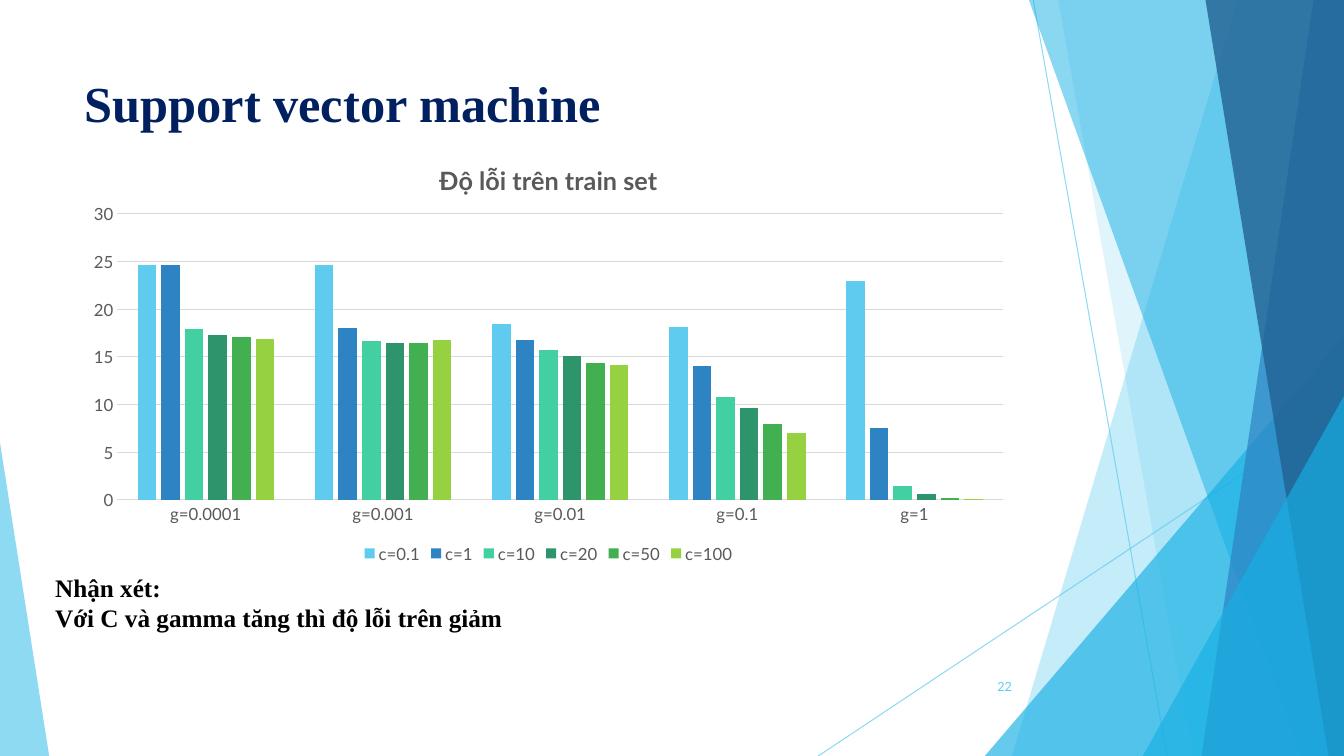
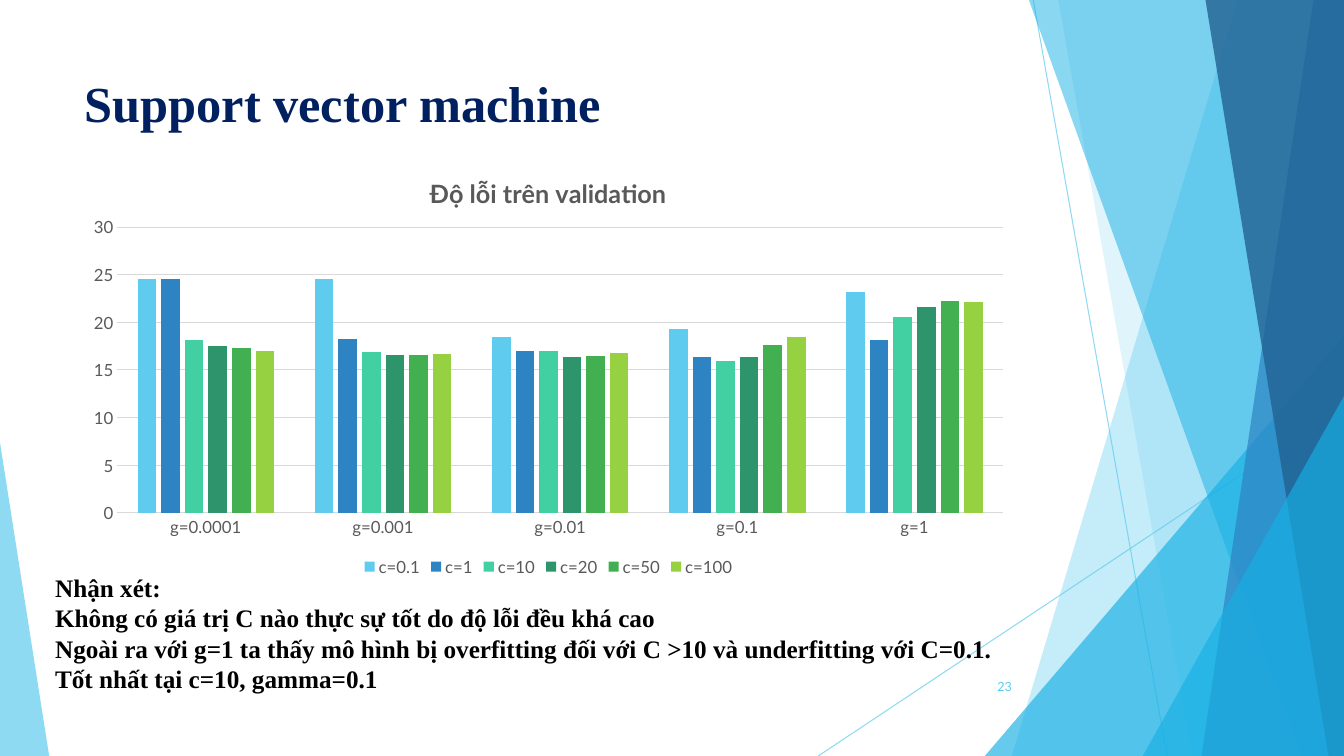
from pptx import Presentation
from pptx.chart.data import CategoryChartData
from pptx.dml.color import RGBColor
from pptx.enum import chart as ch, shapes as sh, text as tx
from pptx.oxml import ns, xmlchemy as xc
from pptx.util import Cm, Pt

WIDTH, HEIGHT = 33.87, 19.05
SKY = RGBColor(0x5F, 0xCB, 0xEF)
CYAN = RGBColor(0x17, 0xB0, 0xE4)
BLUE = RGBColor(0x2E, 0x83, 0xC3)
DEEP = RGBColor(0x22, 0x62, 0x92)
MINT = RGBColor(0x42, 0xD0, 0xA2)
PINE = RGBColor(0x2E, 0x94, 0x6B)
GREEN = RGBColor(0x42, 0xB0, 0x51)
LIME = RGBColor(0x96, 0xD1, 0x41)
NAVY = RGBColor(0x00, 0x20, 0x60)
BLACK = RGBColor(0x00, 0x00, 0x00)
GREY = RGBColor(0x59, 0x59, 0x59)
RULE = RGBColor(0xD9, 0xD9, 0xD9)
SERIF, SANS = "Times New Roman", "Lato"

GAMMAS = ["g=0.0001", "g=0.001", "g=0.01", "g=0.1", "g=1"]
COSTS = {"c=0.1": SKY, "c=1": BLUE, "c=10": MINT,
         "c=20": PINE, "c=50": GREEN, "c=100": LIME}
TRAIN = [
    (24.6, 24.6, 18.5, 18.1, 23),
    (24.6, 18, 16.8, 14, 7.5),
    (17.9, 16.7, 15.7, 10.8, 1.4),
    (17.3, 16.5, 15.1, 9.6, 0.6),
    (17.1, 16.5, 14.4, 8, 0.2),
    (16.9, 16.8, 14.1, 7, 0.1),
]
VALID = [
    (24.6, 24.6, 18.5, 19.3, 23.2),
    (24.6, 18.3, 17, 16.4, 18.1),
    (18.1, 16.9, 17, 15.9, 20.6),
    (17.5, 16.6, 16.4, 16.4, 21.6),
    (17.3, 16.6, 16.5, 17.6, 22.2),
    (17, 16.7, 16.8, 18.5, 22.1),
]


def fade(shape, alpha):
    """Set the opacity, in percent, of every colour of a shape."""
    for tint in shape._element.spPr.iter(ns.qn("a:srgbClr")):
        xc.OxmlElement("a:alpha")
        node = xc.OxmlElement("a:alpha")
        node.set("val", str(alpha * 1000))
        tint.append(node)


def paint(shape, color, alpha):
    """Give a shape a see-through fill with no line or shadow."""
    shape.shadow.inherit = False
    shape.fill.solid()
    shape.fill.fore_color.rgb = color
    shape.line.fill.background()
    fade(shape, alpha)


def add_line(slide, x1, y1, x2, y2):
    """Draw a thin sky-blue line."""
    line = slide.shapes.add_connector(
        sh.MSO_CONNECTOR.STRAIGHT, Cm(x1), Cm(y1), Cm(x2), Cm(y2))
    line.line.color.rgb = SKY
    line.line.width = Pt(0.75)
    line._element.spPr.append(xc.OxmlElement("a:effectLst"))
    fade(line, 70)


def add_band(slide, top, bottom, color, alpha):
    """Draw a full-height band from a slanted left side to the right edge."""
    form = slide.shapes.build_freeform(Cm(top), 0)
    form.add_line_segments([(Cm(WIDTH), 0), (Cm(WIDTH), Cm(HEIGHT)),
                            (Cm(bottom), Cm(HEIGHT))], close=True)
    paint(form.convert_to_shape(), color, alpha)


def add_wedge(slide, left, top, width, tip, color, alpha):
    """Draw a triangle that stands on the bottom edge."""
    wedge = slide.shapes.add_shape(
        sh.MSO_SHAPE.ISOSCELES_TRIANGLE,
        Cm(left), Cm(top), Cm(width), Cm(HEIGHT - top))
    wedge.adjustments[0] = tip
    paint(wedge, color, alpha)


def add_decor(slide):
    """Draw the facets shared by all slides."""
    add_line(slide, 26.04, 0, 29.41, HEIGHT)
    add_line(slide, WIDTH, 10.24, 20.62, HEIGHT)
    add_band(slide, 31.19, 25.5, SKY, 36)
    add_band(slide, 26.67, 30.05, SKY, 20)
    add_wedge(slide, 24.82, 8.46, 9.05, 1, CYAN, 66)
    add_band(slide, 25.93, 32.79, CYAN, 50)
    add_band(slide, 33.1, 30.28, BLUE, 70)
    add_band(slide, 30.38, 33.48, DEEP, 80)
    add_wedge(slide, 28.8, 9.98, 5.07, 1, CYAN, 66)
    add_wedge(slide, 0, 11.15, 1.24, 0, SKY, 70)


def style(font, size, color, name=SANS, bold=False):
    """Set the face, size and colour of a font."""
    font.name, font.size, font.bold = name, Pt(size), bold
    font.color.rgb = color


def add_text(slide, box, lines, size, color, name=SERIF, bold=True):
    """Add a text box with one paragraph a line and return its frame."""
    frame = slide.shapes.add_textbox(*map(Cm, box)).text_frame
    frame.word_wrap = True
    frame.text = "\n".join(lines)
    for para in frame.paragraphs:
        style(para.font, size, color, name, bold)
    return frame


def place(node, index, **spots):
    """Fix the place of a chart part as fractions of the chart."""
    old = node.find(ns.qn("c:layout"))
    if old is not None:
        node.remove(old)
    layout = xc.OxmlElement("c:layout")
    manual = xc.OxmlElement("c:manualLayout")
    layout.append(manual)
    rows = [("xMode", "edge"), ("yMode", "edge"), *spots.items()]
    if "w" in spots:
        rows.insert(0, ("layoutTarget", "inner"))
    for tag, val in rows:
        item = xc.OxmlElement("c:" + tag)
        item.set("val", str(val))
        manual.append(item)
    node.insert(index, layout)


def add_bars(slide, top, title, left, rows):
    """Add the clustered column chart of error rates."""
    data = CategoryChartData()
    data.categories = GAMMAS
    for name, vals in zip(COSTS, rows):
        data.add_series(name, vals)
    chart = slide.shapes.add_chart(
        ch.XL_CHART_TYPE.COLUMN_CLUSTERED,
        Cm(1.88), Cm(top), Cm(23.88), Cm(10.77), data).chart
    style(chart.font, 12, GREY)

    head = chart.chart_title.text_frame
    head.text = title
    style(head.paragraphs[0].font, 18, GREY, bold=True)
    chart.chart_title.include_in_layout = False
    place(chart.chart_title._element, 1, x=left, y=0.04)
    place(chart._chartSpace.chart.plotArea, 0, x=0.045, y=0.173, w=0.935, h=0.669)

    chart.has_legend = True
    chart.legend.position = ch.XL_LEGEND_POSITION.BOTTOM
    chart.legend.include_in_layout = False
    style(chart.legend.font, 12, GREY)

    plot = chart.plots[0]
    plot.vary_by_categories = False
    plot.gap_width, plot.overlap = 219, -27
    for bars, color in zip(plot.series, COSTS.values()):
        bars.format.fill.solid()
        bars.format.fill.fore_color.rgb = color

    cat, val = chart.category_axis, chart.value_axis
    for axis in (cat, val):
        axis.major_tick_mark = axis.minor_tick_mark = ch.XL_TICK_MARK.NONE
        style(axis.tick_labels.font, 12, GREY)
    val.minimum_scale, val.maximum_scale, val.major_unit = 0, 30, 5
    val.format.line.fill.background()
    for line in (cat.format.line, val.major_gridlines.format.line):
        line.color.rgb = RULE
        line.width = Pt(0.75)


def add_page(deck, number, top, title, left, rows, notes):
    """Add a slide with a heading, a chart, remarks and a page number."""
    slide = deck.slides.add_slide(deck.slide_layouts[6])
    add_decor(slide)
    add_text(slide, (1.88, 1.7, 23.88, 3.66), ["Support vector machine"], 36, NAVY)
    add_bars(slide, top, title, left, rows)
    add_text(slide, (1.14, 14.3, 26.21, 0.6 + 0.75 * len(notes)), notes, 18, BLACK)
    foot = add_text(slide, (23.85, 16.79, 1.9, 1.02), [str(number)], 9, SKY,
                    SANS, False)
    foot.vertical_anchor = tx.MSO_ANCHOR.MIDDLE
    foot.paragraphs[0].alignment = tx.PP_ALIGN.RIGHT


def main():
    """Build and save the deck."""
    deck = Presentation()
    deck.slide_width, deck.slide_height = Cm(WIDTH), Cm(HEIGHT)
    add_page(deck, 22, 3.53, "Độ lỗi trên train set", 0.38, TRAIN, [
        "Nhận xét:",
        "Với C và gamma tăng thì độ lỗi trên giảm",
    ])
    add_page(deck, 23, 3.86, "Độ lỗi trên validation", 0.37, VALID, [
        "Nhận xét:",
        "Không có giá trị C nào thực sự tốt do độ lỗi đều khá cao",
        "Ngoài ra với g=1 ta thấy mô hình bị overfitting đối với C >10"
        " và underfitting với C=0.1.",
        "Tốt nhất tại c=10, gamma=0.1",
    ])
    deck.save("out.pptx")


if __name__ == "__main__":
    main()
